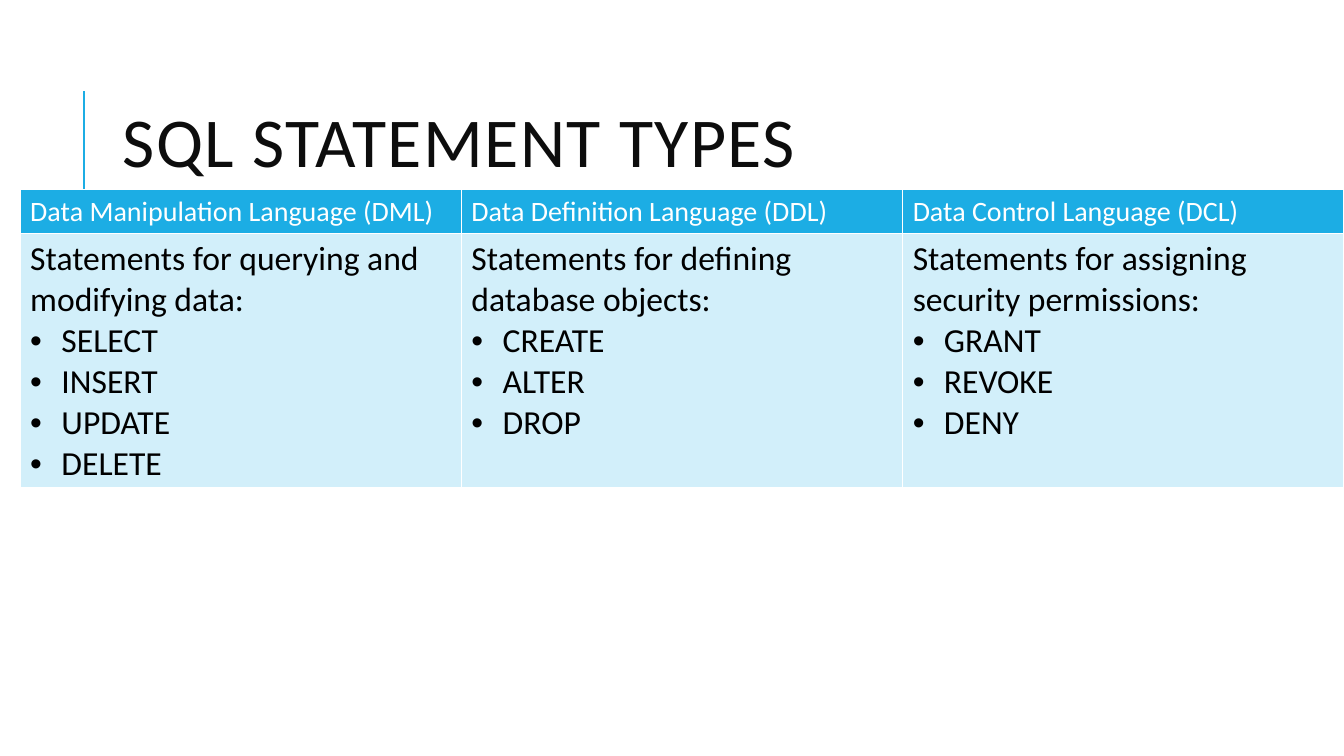
from dataclasses import dataclass

from lxml import etree
from pptx import Presentation
from pptx.dml.color import RGBColor
from pptx.enum.shapes import MSO_CONNECTOR
from pptx.enum.text import MSO_ANCHOR
from pptx.oxml.ns import qn
from pptx.slide import Slide
from pptx.table import _Cell
from pptx.text.text import _Paragraph
from pptx.util import Inches, Pt

STRAIGHT = MSO_CONNECTOR.STRAIGHT
MIDDLE = MSO_ANCHOR.MIDDLE


@dataclass(frozen=True)
class Theme:
    font: str = "Calibri"
    accent: str = "1CADE4"
    pale: str = "D2EFFA"
    title: str = "0D0D0D"
    body: str = "000000"
    white: str = "FFFFFF"
    title_size: int = 50
    header_size: int = 20
    body_size: int = 24


@dataclass(frozen=True)
class StatementType:
    heading: str
    purpose: str
    keywords: tuple[str, ...]


THEME = Theme()
STATEMENT_TYPES = (
    StatementType("Data Manipulation Language (DML)",
                  "Statements for querying and modifying data:",
                  ("SELECT", "INSERT", "UPDATE", "DELETE")),
    StatementType("Data Definition Language (DDL)",
                  "Statements for defining database objects:",
                  ("CREATE", "ALTER", "DROP")),
    StatementType("Data Control Language (DCL)",
                  "Statements for assigning security permissions:",
                  ("GRANT", "REVOKE", "DENY")),
)


def write(paragraph: _Paragraph, text: str, size: int, color: str) -> None:
    run = paragraph.add_run()
    run.text = text
    font_format = {"name": THEME.font, "size": Pt(size), "bold": False}
    for attribute, value in font_format.items():
        setattr(run.font, attribute, value)
    run.font.color.rgb = RGBColor.from_string(color)


def add_bullet(paragraph: _Paragraph) -> None:
    properties = paragraph._p.get_or_add_pPr()
    indent = Inches(0.31)
    properties.set("marL", str(indent))
    properties.set("indent", str(-indent))
    etree.SubElement(properties, qn("a:buFont"), typeface="Arial")
    etree.SubElement(properties, qn("a:buChar"), char="•")


def style_cell(cell: _Cell, fill: str) -> None:
    properties = cell._tc.get_or_add_tcPr()
    for side in ("a:lnL", "a:lnR", "a:lnT", "a:lnB"):
        border = etree.SubElement(properties, qn(side), w=str(Pt(1)))
        solid = etree.SubElement(border, qn("a:solidFill"))
        etree.SubElement(solid, qn("a:srgbClr"), val=THEME.white)
    cell.fill.solid()
    cell.fill.fore_color.rgb = RGBColor.from_string(fill)


def add_title(slide: Slide, text: str) -> None:
    # Accent rule beside the title
    rule = slide.shapes.add_connector(
        STRAIGHT, Inches(0.83), Inches(1.9), Inches(0.83), Inches(0.9))
    rule.line.color.rgb = RGBColor.from_string(THEME.accent)
    rule.line.width = Pt(1.5)
    etree.SubElement(rule._element.spPr, qn("a:effectLst"))

    # Title text
    title = slide.shapes.add_textbox(
        Inches(1.12), Inches(0.64), Inches(10.63), Inches(1.64))
    frame_format = {"word_wrap": True, "vertical_anchor": MIDDLE}
    for attribute, value in frame_format.items():
        setattr(title.text_frame, attribute, value)
    paragraph = title.text_frame.paragraphs[0]
    paragraph.line_spacing = 0.8
    write(paragraph, text, THEME.title_size, THEME.title)
    paragraph.runs[0].font._element.set("spc", "100")


def add_statement_table(slide: Slide, types: tuple[StatementType, ...]) -> None:
    table = slide.shapes.add_table(
        2, len(types), Inches(0.2), Inches(1.88),
        Inches(13.13), Inches(2.93)).table
    table.rows[0].height = Inches(0.41)
    table.rows[1].height = Inches(2.52)

    for column, statement_type in enumerate(types):
        # Heading
        header = table.cell(0, column)
        style_cell(header, THEME.accent)
        write(header.text_frame.paragraphs[0], statement_type.heading,
              THEME.header_size, THEME.white)

        # Purpose and keywords
        body = table.cell(1, column)
        style_cell(body, THEME.pale)
        write(body.text_frame.paragraphs[0], statement_type.purpose,
              THEME.body_size, THEME.body)
        for keyword in statement_type.keywords:
            paragraph = body.text_frame.add_paragraph()
            add_bullet(paragraph)
            write(paragraph, keyword, THEME.body_size, THEME.body)


def main() -> None:
    presentation = Presentation()
    presentation.slide_width = Inches(13.33)
    presentation.slide_height = Inches(7.5)
    slide = presentation.slides.add_slide(presentation.slide_layouts[6])
    add_title(slide, "SQL STATEMENT TYPES")
    add_statement_table(slide, STATEMENT_TYPES)
    presentation.save("out.pptx")


if __name__ == "__main__":
    main()
